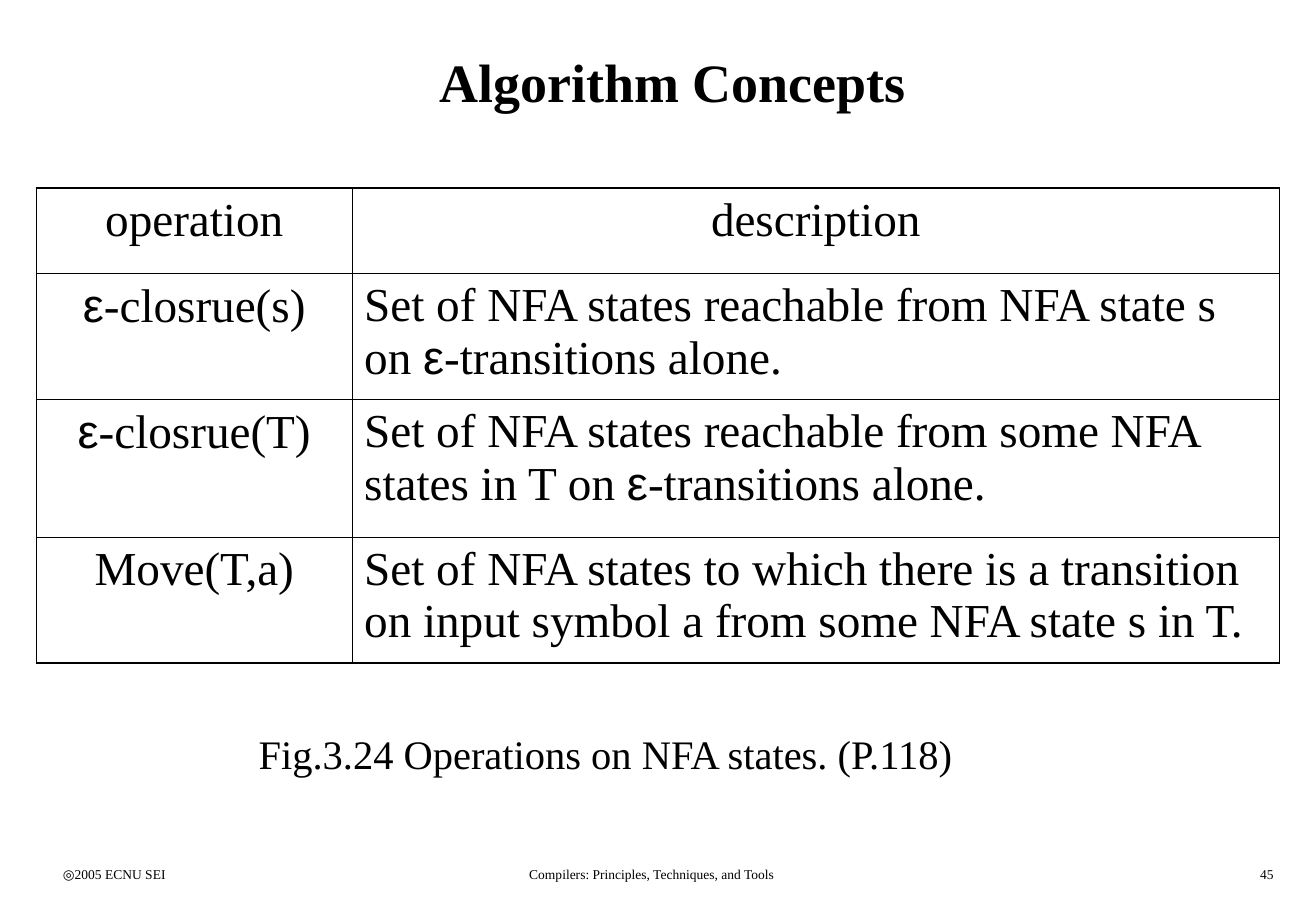
from dataclasses import dataclass

from lxml import etree
from pptx import Presentation, util as u
from pptx.dml import color
from pptx.enum import text
from pptx.oxml import ns

SERIF = "Times New Roman"
BLACK = "000000"
OUTER, INNER = 1.08, 0.45
LEFT, CENTER, RIGHT = text.PP_ALIGN.LEFT, text.PP_ALIGN.CENTER, text.PP_ALIGN.RIGHT


@dataclass
class Label:
    words: str
    left: float
    top: float
    width: float
    height: float
    size: float
    align: text.PP_ALIGN
    bold: bool = False


def rgb(value: str) -> color.RGBColor:
    return color.RGBColor.from_string(value)


def write(frame, words: str, size: float, align, bold: bool = False) -> None:
    para = frame.paragraphs[0]
    for name, value in {"alignment": align, "space_before": u.Pt(0)}.items():
        setattr(para, name, value)
    before, epsilon, after = words.partition("ε")
    for part, face in ((before, SERIF), (epsilon, "Arial"), (after, SERIF)):
        if part:
            span = para.add_run()
            span.text = part
            for name, value in {"name": face, "size": u.Pt(size), "bold": bold}.items():
                setattr(span.font, name, value)
            span.font.color.rgb = rgb(BLACK)


def place(box, label: Label) -> None:
    for name in ("left", "top", "width", "height"):
        setattr(box, name, u.Inches(getattr(label, name)))
    frame = box.text_frame
    frame.word_wrap = True
    frame.auto_size = text.MSO_AUTO_SIZE.NONE
    write(frame, label.words, label.size, label.align, label.bold)


def remove_bullet(para) -> None:
    properties = para._p.get_or_add_pPr()
    properties.set("marL", "0")
    properties.set("indent", "0")
    etree.SubElement(properties, ns.qn("a:buNone"))


def set_borders(cell, widths: dict[str, float]) -> None:
    properties = cell._tc.get_or_add_tcPr()
    for index, (side, width) in enumerate(widths.items()):
        line = etree.Element(ns.qn(f"a:ln{side}"), w=str(int(u.Pt(width))))
        fill = etree.SubElement(line, ns.qn("a:solidFill"))
        etree.SubElement(fill, ns.qn("a:srgbClr"), val=BLACK)
        properties.insert(index, line)


def add_operations(page) -> None:
    rows = [
        ("operation", "description"),
        ("ε-closrue(s)", "Set of NFA states reachable from NFA state s on ε-transitions alone."),
        ("ε-closrue(T)", "Set of NFA states reachable from some NFA states in T on ε-transitions alone."),
        ("Move(T,a)", "Set of NFA states to which there is a transition on input symbol a "
                      "from some NFA state s in T."),
    ]
    widths, heights = (2.6, 7.64), (0.7, 1.04, 1.13, 1.04)
    area = (0.3, 1.55, sum(widths), sum(heights))
    table = page.shapes.add_table(len(rows), len(widths), *map(u.Inches, area)).table
    table.first_row = table.horz_banding = False
    for column, width in zip(table.columns, widths):
        column.width = u.Inches(width)
    for r, (row, height) in enumerate(zip(rows, heights)):
        table.rows[r].height = u.Inches(height)
        for c, words in enumerate(row):
            cell = table.cell(r, c)
            cell.fill.background()
            write(cell.text_frame, words, 28, CENTER if r == 0 or c == 0 else LEFT)
            edges = {"L": c == 0, "R": c == len(widths) - 1, "T": r == 0, "B": r == len(rows) - 1}
            set_borders(cell, {side: OUTER if edge else INNER for side, edge in edges.items()})


def main() -> None:
    deck = Presentation()
    deck.slide_width, deck.slide_height = u.Inches(10.84), u.Inches(7.5)
    page = deck.slides.add_slide(deck.slide_layouts[1])
    page.background.fill.solid()
    page.background.fill.fore_color.rgb = rgb("FFFFFF")

    title, caption = page.shapes.title, page.placeholders[1]
    place(title, Label("Algorithm Concepts", 0.42, 0.17, 10.25, 1, 32, CENTER, True))
    title.text_frame.vertical_anchor = text.MSO_ANCHOR.MIDDLE
    remove_bullet(caption.text_frame.paragraphs[0])
    place(caption, Label("Fig.3.24 Operations on NFA states. (P.118)", 2.03, 5.95, 6.3, 0.55, 24, LEFT))

    add_operations(page)

    footers = [
        Label("Compilers: Principles, Techniques, and Tools", 3.34, 7.08, 4.06, 0.25, 8, CENTER),
        Label("45", 8.33, 7.08, 2.26, 0.25, 8, RIGHT),
        Label("◎2005 ECNU SEI", 0.42, 7.08, 2.26, 0.25, 8, LEFT),
    ]
    for footer in footers:
        place(page.shapes.add_textbox(0, 0, 0, 0), footer)

    deck.save("out.pptx")


if __name__ == "__main__":
    main()
